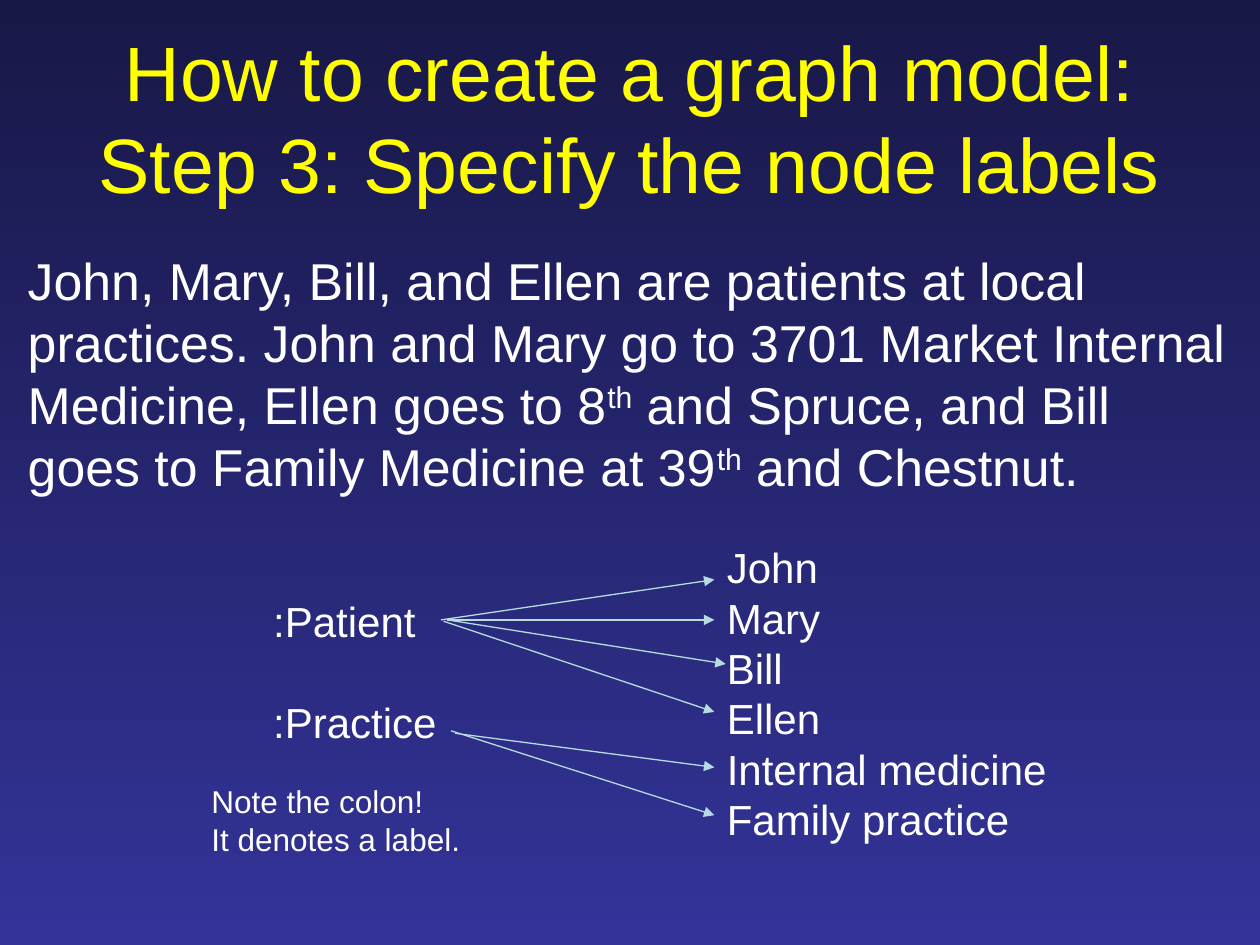
from lxml import etree
from pptx import Presentation
from pptx.dml.color import RGBColor
from pptx.enum.shapes import MSO_CONNECTOR as CONNECTOR
from pptx.enum.text import MSO_ANCHOR as ANCHOR, MSO_AUTO_SIZE as AUTO_SIZE, PP_ALIGN as ALIGN
from pptx.oxml.ns import qn
from pptx.util import Inches, Pt


def color(value):
    return RGBColor.from_string(value)


def add_text(para, text, size, fill="FFFFFF"):
    span = para.add_run()
    span.text = text
    span.font.size = Pt(size)
    span.font.name = "Arial"
    span.font.color.rgb = color(fill)
    return span


deck = Presentation()
deck.slide_width, deck.slide_height = Inches(10), Inches(7.5)
page = deck.slides.add_slide(deck.slide_layouts[1])

background = page.background.fill
background.gradient()
background.gradient_angle = 270
for stop, value in zip(background.gradient_stops, ("181847", "333399")):
    stop.color.rgb = color(value)

title, body = page.shapes.title, page.placeholders[1]
for holder, bounds in ((title, (0.5, 0.3, 9, 1.25)), (body, (0.12, 1.92, 9.75, 2.36))):
    holder.left, holder.top, holder.width, holder.height = map(Inches, bounds)
    holder.text_frame.word_wrap = True
    holder.text_frame.auto_size = AUTO_SIZE.NONE

title.text_frame.vertical_anchor = ANCHOR.MIDDLE
para = title.text_frame.paragraphs[0]
para.alignment = ALIGN.CENTER
add_text(para, "How to create a graph model:", 44, "FFFF00")
para.add_line_break()
add_text(para, "Step 3: Specify the node labels", 44, "FFFF00")

body.text_frame.vertical_anchor = ANCHOR.TOP
para = body.text_frame.paragraphs[0]
properties = para._p.get_or_add_pPr()
properties.set("marL", "0")
properties.set("indent", "0")
etree.SubElement(properties, qn("a:buNone"))
para.alignment = ALIGN.LEFT
para.space_before = Pt(0)
story = [
    "John, Mary, Bill, and Ellen are patients at local practices. John and Mary go to "
    "3701 Market Internal Medicine, Ellen goes to 8",
    "th",
    " and Spruce, and Bill goes to Family Medicine at 39",
    "th",
    " and Chestnut.",
]
for text in story:
    span = add_text(para, text, 29.6)
    if text == "th":
        span.font._element.set("baseline", "30000")

text_boxes = [
    ((2.07, 4.68, 1.51, 1.31), 24, 28.8, [":Patient", ":Practice"]),
    ((5.67, 4.25, 2.77, 2.52), 24, 0,
     ["John", "Mary", "Bill", "Ellen", "Internal medicine", "Family practice"]),
    ((1.58, 6.16, 2.19, 0.71), 18, 0, ["Note the colon!", "It denotes a label."]),
]
for bounds, size, gap, lines in text_boxes:
    box = page.shapes.add_textbox(*map(Inches, bounds))
    frame = box.text_frame
    frame.word_wrap = False
    frame.auto_size = AUTO_SIZE.SHAPE_TO_FIT_TEXT
    for index, text in enumerate(lines):
        para = frame.add_paragraph() if index else frame.paragraphs[0]
        if index:
            para.space_before = Pt(gap)
        add_text(para, text, size)

arrows = [
    (3.5, 4.92, 5.67, 4.6),
    (3.55, 4.92, 5.67, 4.92),
    (3.55, 4.92, 5.76, 5.27),
    (3.52, 4.93, 5.67, 5.65),
    (3.61, 5.82, 5.67, 6.09),
    (3.58, 5.8, 5.67, 6.47),
]
for ends in arrows:
    arrow = page.shapes.add_connector(CONNECTOR.STRAIGHT, *map(Inches, ends))
    arrow.line.color.rgb = color("B6DCDF")
    arrow.line.width = Pt(0.75)
    etree.SubElement(arrow.line._get_or_add_ln(), qn("a:tailEnd"), type="triangle")
    etree.SubElement(arrow._element.spPr, qn("a:effectLst"))

deck.save("out.pptx")
